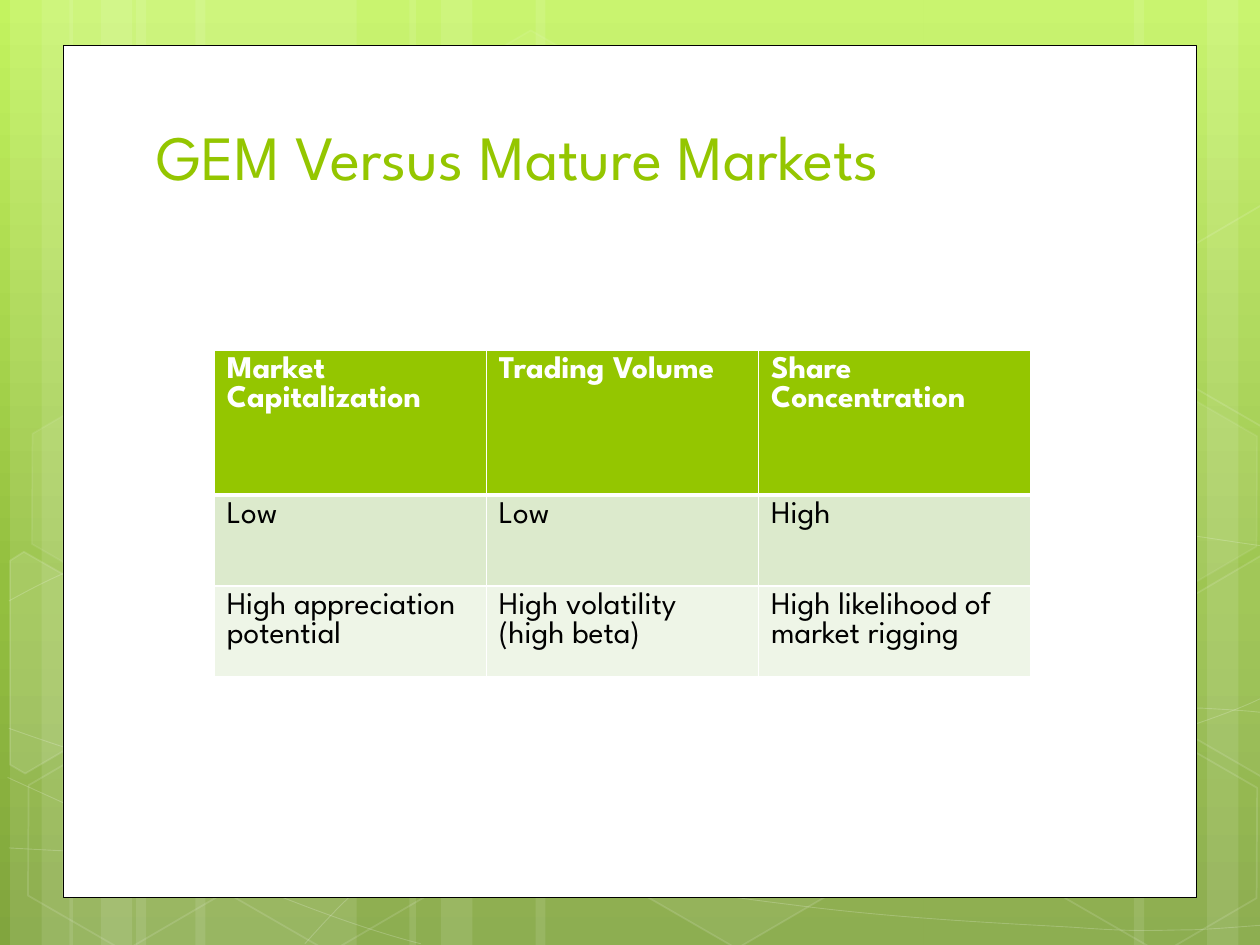
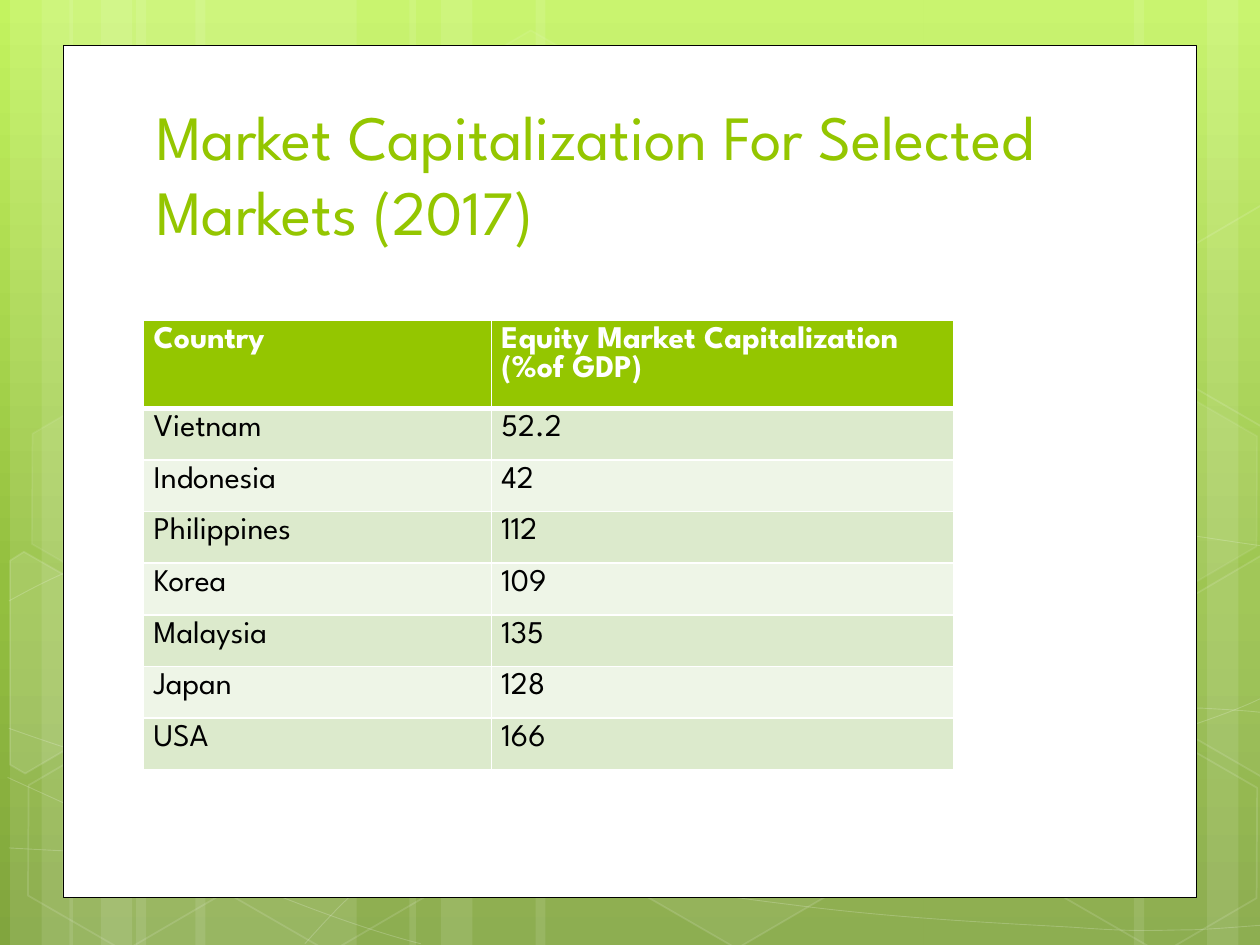
from dataclasses import dataclass
from itertools import product
from typing import NamedTuple, Optional

from lxml import etree
from pptx import Presentation
from pptx import util as u
from pptx.dml.color import RGBColor
from pptx.enum import shapes, text
from pptx.oxml.ns import qn

PX = 9144  # EMU in one px, 100 px to the inch
WIDTH, HEIGHT = 1000, 750
FONT = "League Spartan"
WHITE, BLACK, GREEN = "FFFFFF", "000000", "94C600"
BANDS = ("DCEACC", "EEF5E7")
BACKDROP = ((0, "C3F35F"), (62, "93BF3F"), (100, "81A53E"))


class Box(NamedTuple):
    left: int
    top: int
    width: int
    height: int


class Look(NamedTuple):
    """Fill and outline; opacities are percentages, None means not drawn."""
    fill: Optional[int] = None
    outline: Optional[int] = None
    weight: float = 1
    fill_color: str = WHITE
    line_color: str = WHITE


class Hexagon(NamedTuple):
    left: int
    top: int
    look: Look


class Outline(NamedTuple):
    points: tuple
    look: Look


@dataclass
class Grid:
    left: int
    top: int
    columns: list[int]
    header_height: int
    row_height: int
    side_inset: int
    rows: list[tuple[str, ...]]


@dataclass
class Topic:
    title: str
    title_box: Box
    grid: Grid


# Backdrop parts: (left, width) of the vertical bars
BARS = ((108, 175), (8, 50), (33, 83), (155, 175), (55, 50), (80, 83),
        (733, 175), (958, 50), (900, 83), (425, 308), (325, 50), (350, 83))
BAR = Look(fill=10)
PANEL = Look(fill=100, outline=100, weight=0.5, line_color=BLACK)
WAVE = Look(outline=20, weight=0.5)
EMPTY = Look(outline=12)
TINTED = Look(fill=7, outline=8)

# Each wave is a start point followed by control, control, end triples
WAVES = (
    ((7, 673), (61, 676), (115, 679), (190, 678), (265, 677), (358, 675), (458, 665),
     (558, 655), (700, 636), (792, 617), (883, 598), (977, 568), (1007, 551)),
    ((7, 477), (36, 461), (65, 446), (121, 431), (178, 416), (259, 394), (347, 387),
     (436, 380), (544, 379), (654, 387), (764, 395), (947, 426), (1007, 434)),
    ((6, 617), (127, 672), (247, 727), (334, 749)),
    ((7, 578), (38, 589), (70, 600), (128, 616), (186, 631), (273, 656), (357, 673),
     (440, 690), (545, 708), (628, 718), (711, 729), (800, 733), (853, 736),
     (905, 740), (919, 738), (945, 738), (971, 737), (989, 735), (1007, 734)),
    ((242, 749), (260, 729), (278, 709), (302, 691), (326, 673), (360, 653), (388, 639),
     (416, 625), (433, 619), (470, 609), (506, 599), (573, 585), (608, 578),
     (644, 571), (649, 571), (680, 569), (711, 566), (760, 563), (794, 562),
     (829, 561), (886, 562), (886, 562), (908, 562), (931, 562), (953, 562),
     (971, 563), (988, 564), (997, 565), (1006, 566), (1003, 565), (1006, 566)),
)
HEXAGONS = (
    Hexagon(334, 36, Look(4, 8)),
    Hexagon(497, 589, Look(6, 12)),
    Hexagon(11, 591, EMPTY),
    Hexagon(14, 312, TINTED),
    Hexagon(174, 592, EMPTY),
    Hexagon(834, 593, EMPTY),
    Hexagon(834, 314, TINTED),
)
CUT_HEXAGONS = (
    Outline(((8, 445), (19, 438), (96, 482), (95, 570), (20, 614), (8, 607)),
            Look(10, 12)),
    Outline(((926, 485), (1001, 441), (1009, 446), (1009, 613), (1002, 617), (926, 573)),
            Look(4, 12)),
    Outline(((926, 207), (1001, 163), (1010, 168), (1009, 335), (1002, 339), (926, 295)),
            EMPTY),
)

TOPICS = (
    Topic("GEM Versus Mature Markets", Box(114, 80, 768, 78),
          Grid(170, 278, [216] * 3, 115, 72, 10, [
              ("Market Capitalization", "Trading Volume", "Share Concentration"),
              ("Low", "Low", "High"),
              ("High appreciation potential", "High volatility (high beta)",
               "High likelihood of market rigging"),
          ])),
    Topic("Market Capitalization For Selected Markets (2017)", Box(114, 77, 768, 125),
          Grid(114, 254, [276, 367], 41, 41, 8, [
              ("Country", "Equity Market Capitalization (%of GDP)"),
              ("Vietnam", "52.2"),
              ("Indonesia", "42"),
              ("Philippines", "112"),
              ("Korea", "109"),
              ("Malaysia", "135"),
              ("Japan", "128"),
              ("USA", "166"),
          ])),
)


def emu(*lengths: int) -> list[int]:
    return [length * PX for length in lengths]


def color(code: str) -> RGBColor:
    return RGBColor.from_string(code)


def apply_look(shape, look: Look) -> None:
    shape.shadow.inherit = False
    shape.line.width = u.Pt(look.weight)
    parts = ((shape.fill, look.fill, look.fill_color, "./a:solidFill/a:srgbClr"),
             (shape.line.fill, look.outline, look.line_color,
              "./a:ln/a:solidFill/a:srgbClr"))
    for fill, opacity, code, where in parts:
        if opacity is None:
            fill.background()
            continue
        fill.solid()
        fill.fore_color.rgb = color(code)
        if opacity < 100:
            tint = shape.element.spPr.xpath(where)[0]
            etree.SubElement(tint, qn("a:alpha"), val=str(opacity * 1000))


def add_preset(page, kind, box: Box, look: Look):
    shape = page.shapes.add_shape(kind, *emu(*box))
    apply_look(shape, look)
    return shape


def add_outline(page, points: tuple, look: Look, closed: bool):
    start, *others = [emu(*point) for point in points]
    builder = page.shapes.build_freeform(*start)
    builder.add_line_segments(others, close=closed)
    shape = builder.convert_to_shape()
    apply_look(shape, look)
    return shape


def add_wave(page, points: tuple) -> None:
    """Turn each three straight steps into one cubic curve."""
    shape = add_outline(page, points, WAVE, closed=False)
    steps = shape.element.spPr.xpath(".//a:lnTo")
    for first in range(0, len(steps), 3):
        curve = etree.Element(qn("a:cubicBezTo"))
        steps[first].addprevious(curve)
        for step in steps[first:first + 3]:
            curve.append(step[0])
            step.getparent().remove(step)


def paint_background(page) -> None:
    fill = page.background.fill
    fill.gradient()
    fill.gradient_angle = 270
    stops = next(page.element.iter(qn("a:gsLst")))
    for stop in list(stops):
        stops.remove(stop)
    for position, code in BACKDROP:
        stop = etree.SubElement(stops, qn("a:gs"), pos=str(position * 1000))
        etree.SubElement(stop, qn("a:srgbClr"), val=code)


def add_backdrop(page) -> None:
    paint_background(page)
    for left, width in BARS:
        add_preset(page, shapes.MSO_SHAPE.RECTANGLE, Box(left, 0, width, HEIGHT), BAR)
    for wave in WAVES:
        add_wave(page, wave)
    for item in HEXAGONS:
        hexagon = add_preset(page, shapes.MSO_SHAPE.HEXAGON,
                             Box(item.left, item.top, 175, 152), item.look)
        hexagon.adjustments[0] = 0.285
        hexagon.adjustments[1] = 1.155
        hexagon.rotation = 30
    for piece in CUT_HEXAGONS:
        add_outline(page, piece.points, piece.look, closed=True)
    add_preset(page, shapes.MSO_SHAPE.RECTANGLE, Box(50, 36, 900, 676), PANEL)


def style_font(para, size: int, code: str, bold: bool = False) -> None:
    font = para.font
    font.name, font.size, font.bold = FONT, u.Pt(size), bold
    font.color.rgb = color(code)


def add_title(page, title: str, box: Box) -> None:
    frame = page.shapes.add_textbox(*emu(*box)).text_frame
    frame.word_wrap = True
    frame.vertical_anchor = text.MSO_ANCHOR.BOTTOM
    para = frame.paragraphs[0]
    para.text = title
    style_font(para, 36, GREEN)


def add_borders(cell, row: int) -> None:
    """White rules, with a heavy one under the header row."""
    widths = {"L": 1, "R": 1, "T": 3 if row == 1 else 1, "B": 3 if row == 0 else 1}
    properties = cell._tc.get_or_add_tcPr()
    for side, width in widths.items():
        line = etree.SubElement(properties, qn(f"a:ln{side}"), w=str(u.Pt(width)))
        solid = etree.SubElement(line, qn("a:solidFill"))
        etree.SubElement(solid, qn("a:srgbClr"), val=WHITE)


def add_grid(page, grid: Grid) -> None:
    heights = [grid.header_height] + [grid.row_height] * (len(grid.rows) - 1)
    box = Box(grid.left, grid.top, sum(grid.columns), sum(heights))
    table = page.shapes.add_table(len(heights), len(grid.columns), *emu(*box)).table
    for column, width in zip(table.columns, emu(*grid.columns)):
        column.width = width
    for line, height in zip(table.rows, emu(*heights)):
        line.height = height
    for row, column in product(range(len(heights)), range(len(grid.columns))):
        cell = table.cell(row, column)
        header = row == 0
        add_borders(cell, row)
        cell.fill.solid()
        cell.fill.fore_color.rgb = color(GREEN if header else BANDS[(row - 1) % 2])
        cell.margin_left = cell.margin_right = emu(grid.side_inset)[0]
        cell.margin_top = cell.margin_bottom = emu(5)[0]
        cell.text = grid.rows[row][column]
        style_font(cell.text_frame.paragraphs[0], 18, WHITE if header else BLACK, header)


def main() -> None:
    deck = Presentation()
    deck.slide_width, deck.slide_height = emu(WIDTH, HEIGHT)
    for topic in TOPICS:
        page = deck.slides.add_slide(deck.slide_layouts[6])
        add_backdrop(page)
        add_title(page, topic.title, topic.title_box)
        add_grid(page, topic.grid)
    deck.save("out.pptx")


if __name__ == "__main__":
    main()
